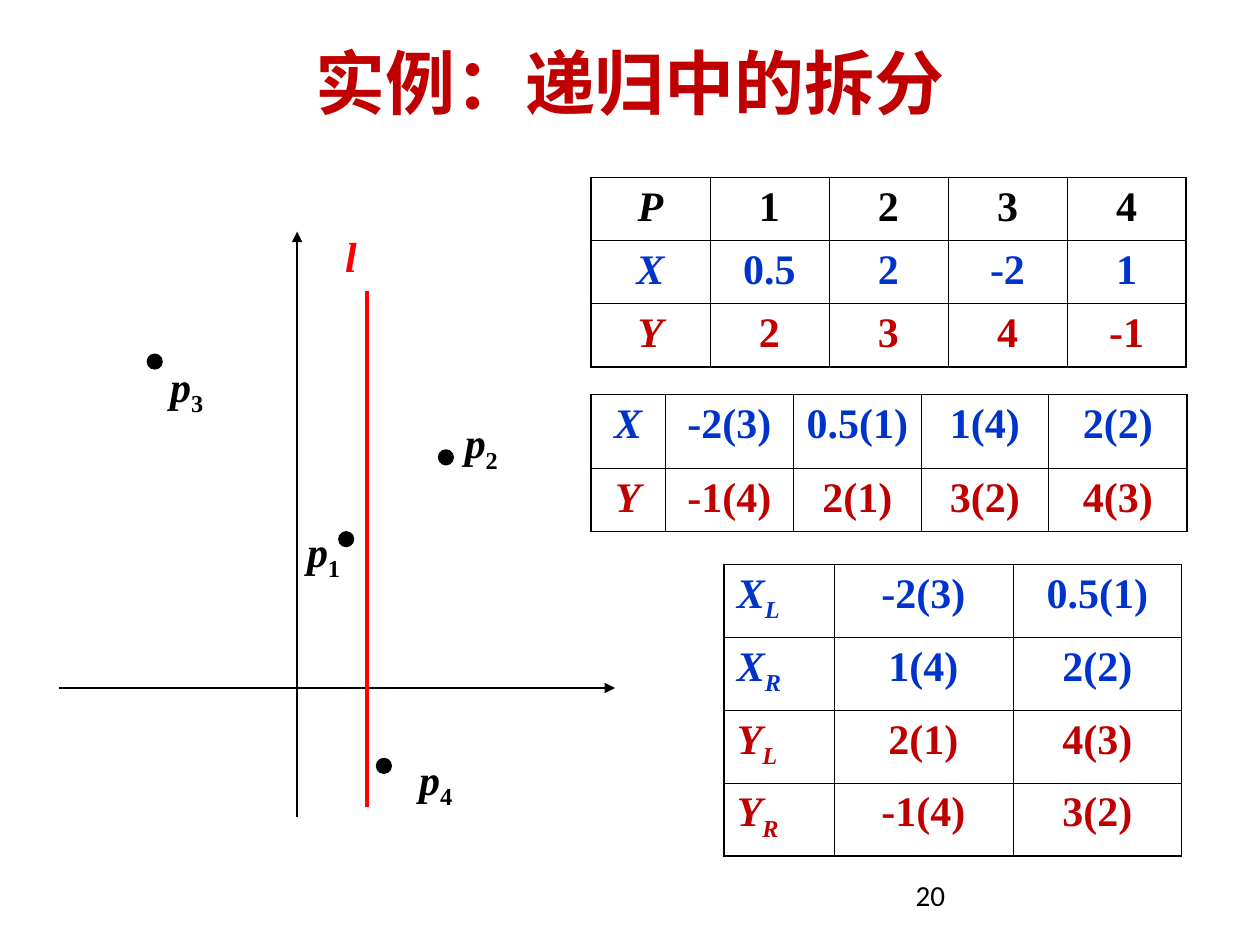
from pptx import Presentation
from pptx.dml.color import RGBColor
from pptx.enum.shapes import MSO_CONNECTOR as Connector, MSO_SHAPE as Shape
from pptx.enum.text import MSO_ANCHOR as Anchor, MSO_AUTO_SIZE as AutoSize, PP_ALIGN as Align
from pptx.oxml.ns import qn
from pptx.util import Cm, Pt
from lxml.etree import SubElement

BLACK = RGBColor(0x00, 0x00, 0x00)
RED = RGBColor(0xFF, 0x00, 0x00)
DARK_RED = RGBColor(0xC0, 0x00, 0x00)
BLUE = RGBColor(0x00, 0x33, 0xCC)

THIN, THICK = Pt(0.45), Pt(1.08)
DOT = 0.3

# name, dot left and top, label left and top (cm)
POINTS = [
    ("p_1", 6.83, 10.72, 5.94, 10.46),
    ("p_2", 8.84, 9.07, 9.12, 8.28),
    ("p_3", 2.97, 7.14, 3.18, 7.14),
    ("p_4", 7.59, 15.29, 8.2, 15.06),
]


def add_run(p, text, color, size=24, font="Times New Roman", bold=True, italic=False):
    r = p.add_run()
    r.text = text
    f = r.font
    f.name, f.size, f.bold, f.italic = font, Pt(size), bold, italic
    f.color.rgb = color
    return r


def add_symbol(p, text, color, italic_sub=False):
    """Write an italic symbol; the part after "_" becomes a subscript."""
    base, _, sub = text.partition("_")
    add_run(p, base, color, italic=True)
    if sub:
        r = add_run(p, sub, color, italic=italic_sub)
        r.font._element.set("baseline", "-25000")


def add_box(slide, x, y, w, h, wrap=True):
    tf = slide.shapes.add_textbox(Cm(x), Cm(y), Cm(w), Cm(h)).text_frame
    tf.word_wrap = wrap
    return tf


def add_line(slide, x1, y1, x2, y2, color, width, arrow=False):
    s = slide.shapes.add_connector(Connector.STRAIGHT, Cm(x1), Cm(y1), Cm(x2), Cm(y2))
    s.line.color.rgb = color
    s.line.width = Pt(width)
    if arrow:
        SubElement(s.line._get_or_add_ln(), qn("a:tailEnd"), type="triangle")
    SubElement(s._element.spPr, qn("a:effectLst"))


def add_point(slide, name, x, y, label_x, label_y):
    s = slide.shapes.add_shape(Shape.OVAL, Cm(x), Cm(y), Cm(DOT), Cm(DOT))
    s.shadow.inherit = False
    s.fill.solid()
    s.fill.fore_color.rgb = BLACK
    s.line.color.rgb = BLACK
    s.line.width = Pt(0.75)
    tf = add_box(slide, label_x, label_y, 1.4, 1.42)
    tf.auto_size = AutoSize.SHAPE_TO_FIT_TEXT
    p = tf.paragraphs[0]
    p.space_before = Pt(15)
    add_symbol(p, name, BLACK)


def set_borders(cell, widths):
    tcPr = cell._tc.get_or_add_tcPr()
    for side, width in zip("LRTB", widths):
        ln = SubElement(tcPr, qn(f"a:ln{side}"), w=str(int(width)))
        fill = SubElement(ln, qn("a:solidFill"))
        SubElement(fill, qn("a:srgbClr"), val=str(BLACK))


def add_grid(slide, x, y, widths, heights, rows, colors,
             label_align=Align.CENTER, bottom=THICK):
    """Add a table whose first column holds symbols; each row has one colour."""
    frame = slide.shapes.add_table(len(heights), len(widths), Cm(x), Cm(y),
                                   Cm(sum(widths)), Cm(sum(heights)))
    table = frame.table
    table.first_row = table.horz_banding = False
    for col, width in zip(table.columns, widths):
        col.width = Cm(width)
    for row, height in zip(table.rows, heights):
        row.height = Cm(height)
    last_row, last_col = len(heights) - 1, len(widths) - 1
    for i, (values, color) in enumerate(zip(rows, colors)):
        for j, value in enumerate(values):
            cell = table.cell(i, j)
            set_borders(cell, (THICK if j == 0 else THIN,
                               THICK if j == last_col else THIN,
                               THICK if i == 0 else THIN,
                               bottom if i == last_row else THIN))
            cell.fill.background()
            p = cell.text_frame.paragraphs[0]
            p.space_before = Pt(6)
            if j == 0:
                p.alignment = label_align
                add_symbol(p, value, color, italic_sub=True)
            else:
                p.alignment = Align.CENTER
                add_run(p, value, color)


def main():
    prs = Presentation()
    prs.slide_width, prs.slide_height = Cm(25.4), Cm(19.05)
    slide = prs.slides.add_slide(prs.slide_layouts[6])

    # Title and page number
    tf = add_box(slide, 1.27, 0.76, 22.86, 1.75)
    tf.vertical_anchor = Anchor.MIDDLE
    p = tf.paragraphs[0]
    p.alignment = Align.CENTER
    add_run(p, "实例：递归中的拆分", DARK_RED, size=40, font="Calibri")
    p = add_box(slide, 18.21, 17.65, 5.92, 1.02).paragraphs[0]
    p.line_spacing = 0.9
    add_run(p, "20", BLACK, size=16.6, font="Calibri", bold=False)

    # Axes, points and dividing line
    add_line(slide, 1.19, 13.87, 12.4, 13.87, BLACK, 0.75, arrow=True)
    add_line(slide, 5.99, 16.46, 5.99, 4.67, BLACK, 0.75, arrow=True)
    for point in POINTS:
        add_point(slide, *point)
    add_line(slide, 7.39, 5.87, 7.39, 16.26, RED, 2.25)
    tf = add_box(slide, 6.71, 4.52, 0.74, 1.27, wrap=False)
    tf.auto_size = AutoSize.SHAPE_TO_FIT_TEXT
    add_symbol(tf.paragraphs[0], "l", RED)

    # Coordinates of the points
    add_grid(slide, 11.91, 3.58, [2.4] * 5, [1.27] * 3,
             [("P", "1", "2", "3", "4"),
              ("X", "0.5", "2", "-2", "1"),
              ("Y", "2", "3", "4", "-1")],
             [BLACK, BLUE, DARK_RED])

    # Sorted coordinates
    add_grid(slide, 11.91, 7.95, [1.5, 2.59, 2.57, 2.57, 2.79], [1.5, 1.27],
             [("X", "-2(3)", "0.5(1)", "1(4)", "2(2)"),
              ("Y", "-1(4)", "2(1)", "3(2)", "4(3)")],
             [BLUE, DARK_RED], bottom=THIN)

    # Left and right halves
    add_grid(slide, 14.6, 11.38, [2.21, 3.61, 3.4], [1.47] * 4,
             [("X_L", "-2(3)", "0.5(1)"),
              ("X_R", "1(4)", "2(2)"),
              ("Y_L", "2(1)", "4(3)"),
              ("Y_R", "-1(4)", "3(2)")],
             [BLUE, BLUE, DARK_RED, DARK_RED], label_align=Align.LEFT)

    prs.save("out.pptx")


if __name__ == "__main__":
    main()
